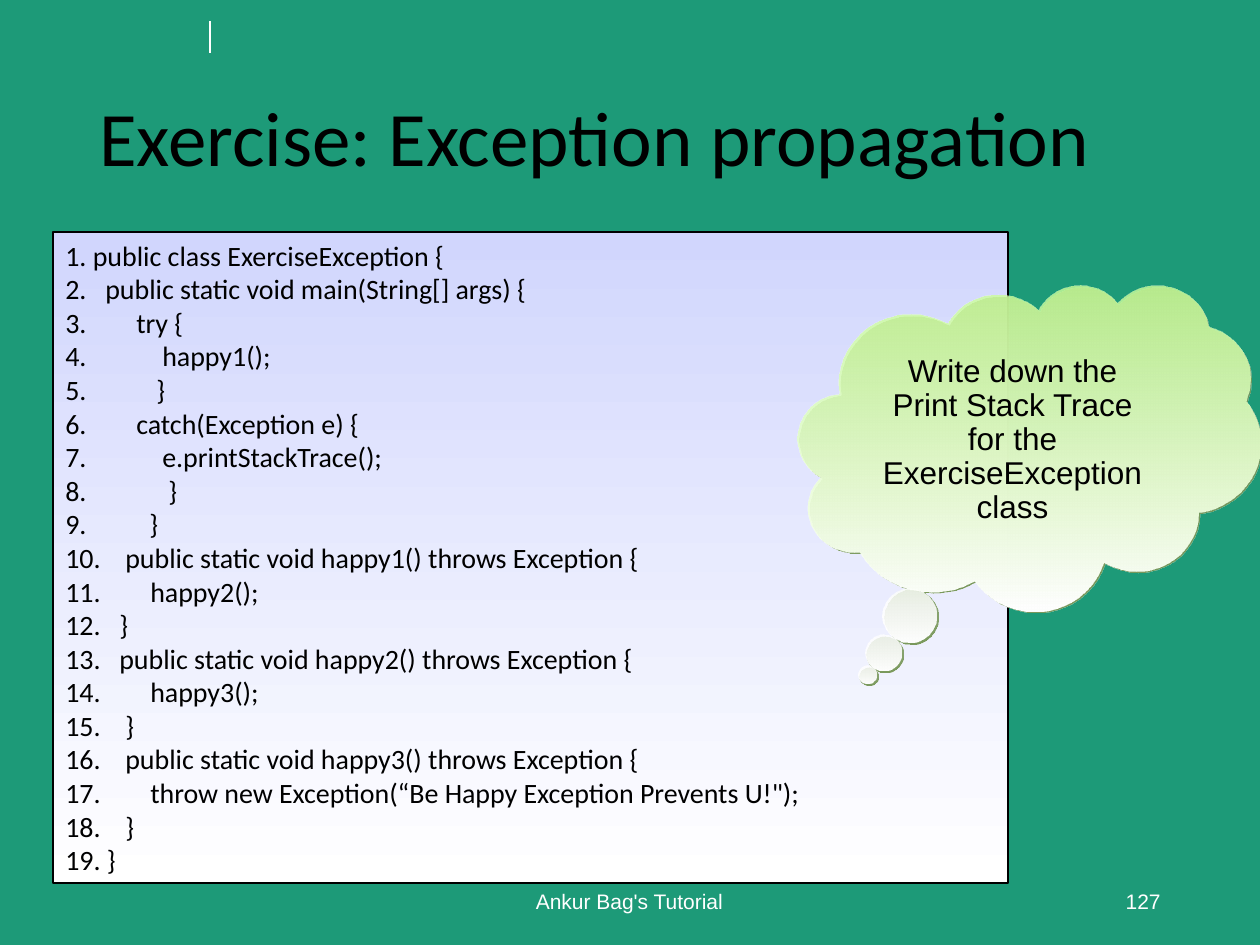
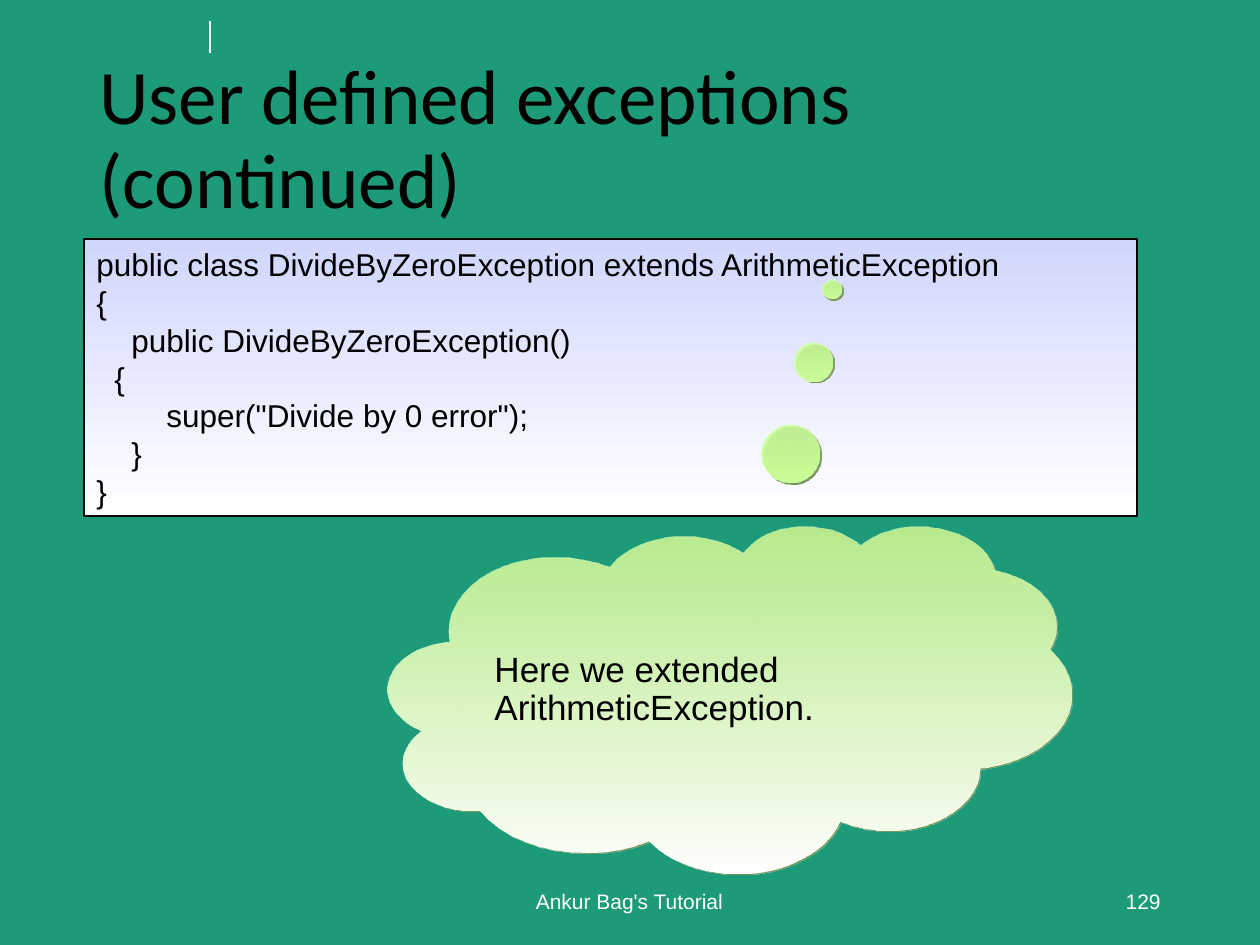
"""Build two slides on Java exceptions with code panels and thought clouds."""
from pptx import Presentation
from pptx import util as u
from pptx.dml.color import RGBColor
from pptx.enum import shapes, text
from pptx.oxml import ns
from lxml import etree

PX = 914400 / 126
COLORS = {"back": "1D9A78", "ink": "000000", "light": "FFFFFF",
          "panel": "D1D6FD", "cloud": "CCFF99", "shade": "7A995C"}
LEFT, CENTER, RIGHT = (text.PP_ALIGN.LEFT, text.PP_ALIGN.CENTER,
                       text.PP_ALIGN.RIGHT)

PROPAGATION = [
    (0, "public class ExerciseException {"),
    (40, "public static void main(String[] args) {"),
    (71, "try {"),
    (97, "happy1();"),
    (91, "}"),
    (71, "catch(Exception e) {"),
    (97, "e.printStackTrace();"),
    (103, "}"),
    (84, "}"),
    (60, "public static void happy1() throws Exception {"),
    (85, "happy2();"),
    (54, "}"),
    (54, "public static void happy2() throws Exception {"),
    (85, "happy3();"),
    (60, "}"),
    (60, "public static void happy3() throws Exception {"),
    (85, "throw new Exception(“Be Happy Exception Prevents U!\");"),
    (60, "}"),
    (0, "}"),
]
USER_DEFINED = [
    (0, "public class DivideByZeroException extends ArithmeticException"),
    (0, "{"),
    (35, "public DivideByZeroException()"),
    (18, "{"),
    (70, "super(\"Divide by 0 error\");"),
    (35, "}"),
    (0, "}"),
]


def px(n):
    """Turn px into EMU."""
    return u.Emu(round(n * PX))


def rgb(name):
    """Look up a named colour."""
    return RGBColor.from_string(COLORS[name])


def sub(parent, tag, **attrs):
    """Append a DrawingML element with attributes."""
    return etree.SubElement(parent, ns.qn(tag),
                            {k: str(v) for k, v in attrs.items()})


def frame(sp, anchor):
    """Prepare the wrapped text frame of a shape."""
    tf = sp.text_frame
    tf.word_wrap = True
    tf.vertical_anchor = anchor
    return tf


def add_line(tf, words, size, font, color="ink", align=LEFT, spacing=1.0):
    """Add a paragraph of one run, using the empty first paragraph if any."""
    p = tf.paragraphs[0]
    if p.runs:
        p = tf.add_paragraph()
    p.alignment = align
    p.line_spacing = spacing
    r = p.add_run()
    r.text = words
    r.font.size = u.Pt(size)
    r.font.name = font
    r.font.color.rgb = rgb(color)
    return p


def add_label(s, box, words, size, font, color, align, spacing=1.0):
    """Add a vertically centred text box."""
    sp = s.shapes.add_textbox(*map(px, box))
    tf = frame(sp, text.MSO_ANCHOR.MIDDLE)
    return add_line(tf, words, size, font, color, align, spacing)


def add_gradient_shape(s, kind, box, top_color):
    """Add a shape that fades downwards to white."""
    sp = s.shapes.add_shape(kind, *map(px, box))
    sp.shadow.inherit = False
    sp.fill.gradient()
    sp.fill.gradient_angle = 270
    for stop, name in zip(sp.fill.gradient_stops, (top_color, "light")):
        stop.color.rgb = rgb(name)
    return sp


def add_panel(s, box):
    """Add a code panel and return its text frame."""
    sp = add_gradient_shape(s, shapes.MSO_SHAPE.RECTANGLE, box, "panel")
    sp.line.color.rgb = rgb("ink")
    sp.line.width = u.Pt(0.75)
    return frame(sp, text.MSO_ANCHOR.TOP)


def add_numbered_code(tf, rows, size, font):
    """Number the code lines and set each one at its tab stop."""
    for number, (indent, code) in enumerate(rows, 1):
        gap = "\t" if indent else " "
        p = add_line(tf, f"{number}.{gap}{code}", size, font)
        if indent:
            tabs = sub(p._p.get_or_add_pPr(), "a:tabLst")
            sub(tabs, "a:tab", pos=px(indent), algn="l")


def add_code(tf, rows, size, font):
    """Write code lines with paragraph indents."""
    for indent, code in rows:
        p = add_line(tf, code, size, font)
        p._p.get_or_add_pPr().set("marL", str(px(indent)))


def add_cloud(s, box, tail, lines, size, align):
    """Add a thought cloud with a hard shadow."""
    sp = add_gradient_shape(s, shapes.MSO_SHAPE.CLOUD_CALLOUT, box, "cloud")
    sp.adjustments[0], sp.adjustments[1] = tail
    sp.line.fill.background()
    spPr = sp._element.spPr
    sub(next(spPr.iter(ns.qn("a:srgbClr"))), "a:alpha", val=80000)
    shadow = sub(spPr.find(ns.qn("a:effectLst")), "a:outerShdw",
                 blurRad=0, dist=u.Pt(1.4), dir=45 * 60000,
                 algn="ctr", rotWithShape=0)
    sub(shadow, "a:srgbClr", val=COLORS["shade"])
    tf = frame(sp, text.MSO_ANCHOR.MIDDLE)
    for words in lines:
        add_line(tf, words, size, "Arial", align=align, spacing=0.9)


def add_base(prs, title, number):
    """Add a slide with background, tick line, title and footers."""
    s = prs.slides.add_slide(prs.slide_layouts[6])
    s.background.fill.solid()
    s.background.fill.fore_color.rgb = rgb("back")
    tick = s.shapes.add_connector(shapes.MSO_CONNECTOR.STRAIGHT,
                                  *map(px, (210, 53, 210, 21)))
    tick.line.color.rgb = rgb("light")
    tick.line.width = u.Pt(0.75)
    sub(tick._element.spPr, "a:effectLst")
    add_label(s, (87, 50, 1087, 183), title, 44, "Calibri", "ink", LEFT, 0.9)
    for left, width, words, align in (
            (417, 425, "Ankur Bag's Tutorial", CENTER),
            (890, 283, str(number), RIGHT)):
        add_label(s, (left, 876, width, 50), words, 12, "Arial", "light", align)
    return s


def main():
    """Build and save both slides."""
    prs = Presentation()
    prs.slide_width, prs.slide_height = px(1260), px(945)

    s = add_base(prs, "Exercise: Exception propagation", 127)
    tf = add_panel(s, (53, 232, 955, 651))
    add_numbered_code(tf, PROPAGATION, 16, "Calibri")
    add_cloud(s, (798, 285, 462, 325), (-0.35, 0.7),
              ["Write down the Print Stack Trace for the",
               "ExerciseException", "class"], 18, CENTER)

    s = add_base(prs, "User defined exceptions (continued)", 129)
    tf = add_panel(s, (84, 239, 1053, 277))
    add_code(tf, USER_DEFINED, 18, "Arial")
    add_cloud(s, (388, 525, 683, 347), (0.15, -1.18),
              ["Here we extended", "ArithmeticException."], 20, LEFT)

    prs.save("out.pptx")


if __name__ == "__main__":
    main()
